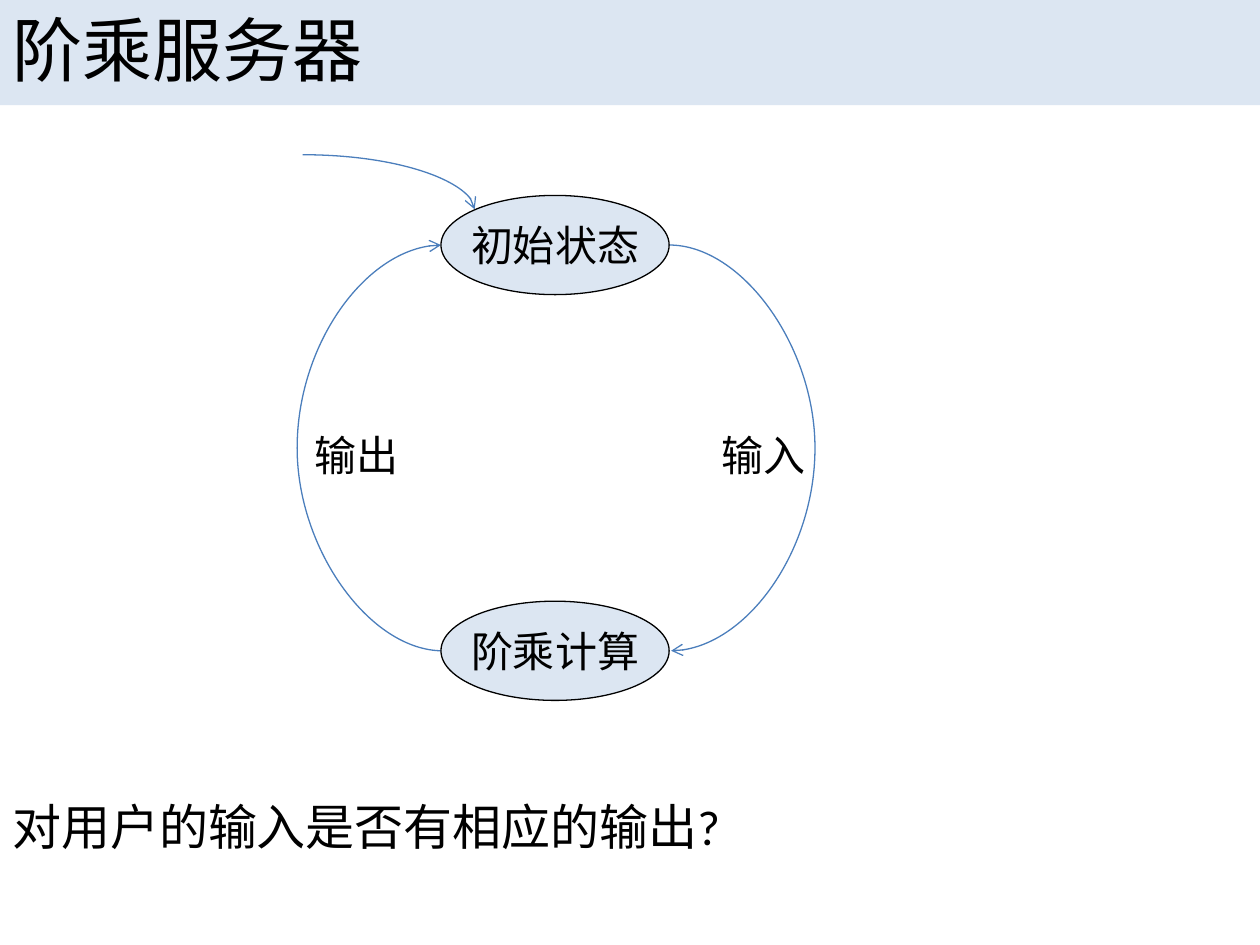
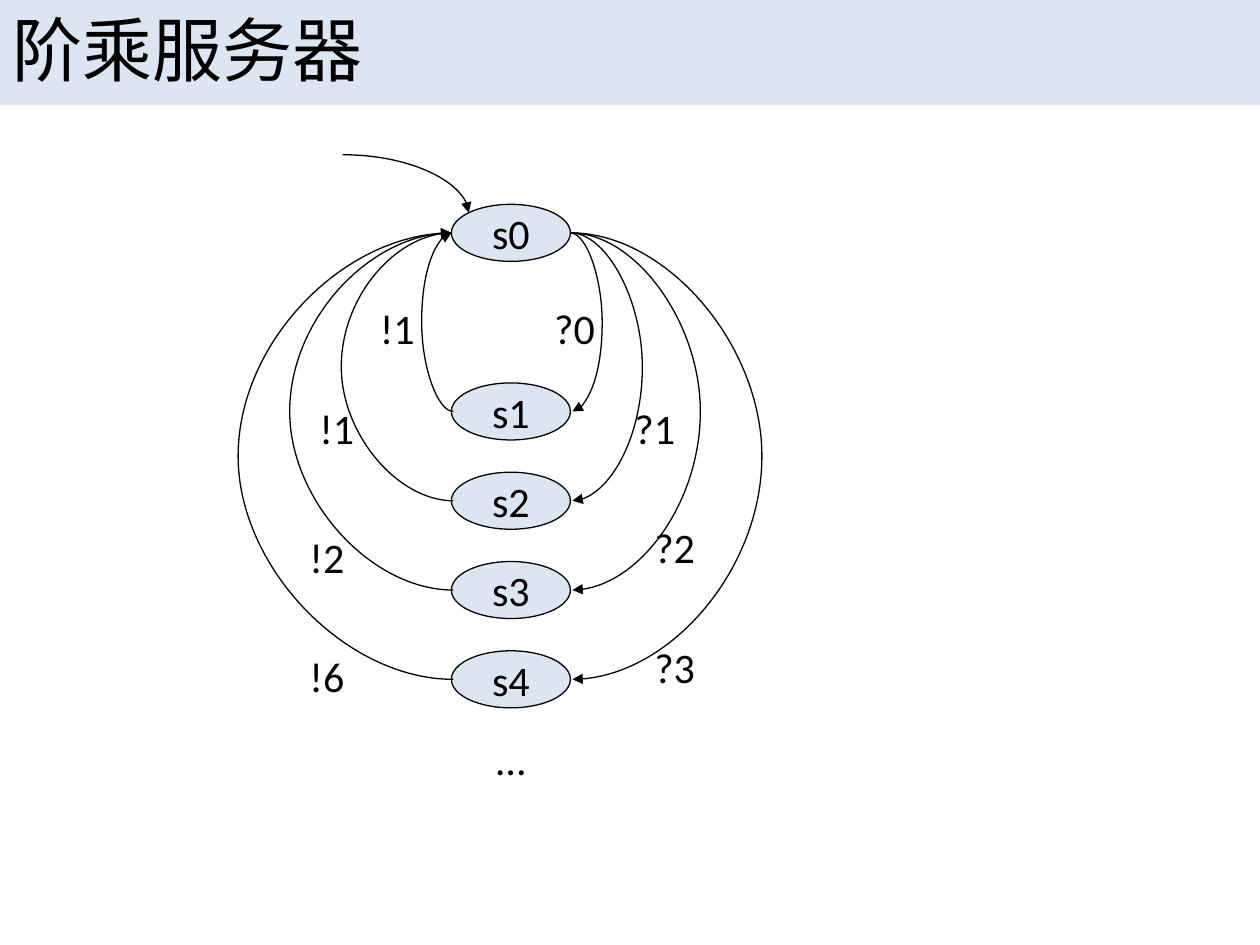
from dataclasses import dataclass

from lxml.etree import SubElement
from pptx import Presentation
from pptx.dml.color import RGBColor
from pptx.enum.shapes import MSO_CONNECTOR, MSO_SHAPE
from pptx.enum.text import MSO_ANCHOR, MSO_AUTO_SIZE, PP_ALIGN
from pptx.oxml.ns import qn
from pptx.util import Cm, Pt


@dataclass(frozen=True)
class Theme:
    font: str = "Calibri"
    ink: RGBColor = RGBColor(0, 0, 0)
    pale: RGBColor = RGBColor(0xDC, 0xE6, 0xF2)
    blue: RGBColor = RGBColor(0x4B, 0x7E, 0xBC)
    head: Pt = Pt(40)
    ask: Pt = Pt(28)
    text: Pt = Pt(24)
    line: Pt = Pt(0.75)


THEME = Theme()
TITLE = "阶乘服务器"
STEP = 0.04


def write(shape, text, size, align=PP_ALIGN.LEFT, anchor=MSO_ANCHOR.TOP, wrap=False):
    frame = shape.text_frame
    frame.text = text
    frame.word_wrap = wrap
    frame.vertical_anchor = anchor
    para = frame.paragraphs[0]
    para.alignment = align
    font = para.runs[0].font
    font.name, font.size = THEME.font, size
    font.color.rgb = THEME.ink


def add_page(deck):
    slide = deck.slides.add_slide(deck.slide_layouts[5])
    band = slide.shapes.title
    band.left, band.top = Cm(0), Cm(0)
    band.width, band.height = deck.slide_width, Cm(1.96)
    band.fill.solid()
    band.fill.fore_color.rgb = THEME.pale
    write(band, TITLE, THEME.head, wrap=True)
    band.text_frame.auto_size = MSO_AUTO_SIZE.SHAPE_TO_FIT_TEXT
    return slide


def add_state(slide, text, left, top, width, height):
    oval = slide.shapes.add_shape(
        MSO_SHAPE.OVAL, Cm(left), Cm(top), Cm(width), Cm(height))
    oval.shadow.inherit = False
    oval.fill.solid()
    oval.fill.fore_color.rgb = THEME.pale
    oval.line.color.rgb = THEME.ink
    oval.line.width = THEME.line
    write(oval, text, THEME.text, PP_ALIGN.CENTER, MSO_ANCHOR.MIDDLE)


def add_note(slide, text, left, top, width, height, size=THEME.text, wrap=False):
    box = slide.shapes.add_textbox(Cm(left), Cm(top), Cm(width), Cm(height))
    write(box, text, size, wrap=wrap)
    box.text_frame.auto_size = MSO_AUTO_SIZE.SHAPE_TO_FIT_TEXT


def add_label(slide, text, left, top, width=2.2, height=1):
    box = slide.shapes.add_textbox(Cm(left), Cm(top), Cm(width), Cm(height))
    write(box, text, THEME.text, PP_ALIGN.CENTER, MSO_ANCHOR.MIDDLE)


def add_curve(slide, start, end, color, head):
    curve = slide.shapes.add_connector(
        MSO_CONNECTOR.CURVE, *(Cm(n) for n in (*start, *end)))
    curve.line.color.rgb = color
    curve.line.width = THEME.line
    props = curve._element.spPr
    SubElement(props.find(qn("a:ln")), qn("a:tailEnd"), type=head)
    SubElement(props, qn("a:effectLst"))
    return props


def add_entry(slide, start, end, color, head):
    props = add_curve(slide, start, end, color, head)
    props.find(qn("a:prstGeom")).set("prst", "curvedConnector2")


def add_arc(slide, left, top, base, reach, color, head, back=False):
    props = add_curve(slide, (left, top), (left + STEP, base), color, head)
    guides = props.find(qn("a:prstGeom")).get_or_add_avLst()
    ratio = round(reach / STEP * 100000)
    SubElement(guides, qn("a:gd"), name="adj1", fmla=f"val {ratio}")
    if back:
        props.find(qn("a:xfrm")).set("rot", "10800000")


def draw_cycle(deck):
    slide = add_page(deck)
    left, width, height = 8.89, 4.6, 2
    tops = 3.94, 12.12
    ports = [top + height / 2 for top in tops]
    look = THEME.blue, "arrow"
    add_arc(slide, left, *ports, 2.94, *look, back=True)
    add_arc(slide, left + width, *ports, 2.94, *look)
    for text, top in zip(("初始状态", "阶乘计算"), tops):
        add_state(slide, text, left, top, width, height)
    add_entry(slide, (6.1, 3.12), (9.57, 4.22), *look)
    for text, side in (("输入", 14.3), ("输出", 6.1)):
        add_note(slide, text, side, 8.53, 2.24, 1.3)
    add_note(slide, "对用户的输入是否有相应的输出?", 0, 15.93, 20.7, 1.45,
             THEME.ask, True)


def draw_states(deck):
    slide = add_page(deck)
    left, first, width, height, pitch = 9.1, 4.12, 2.4, 1.15, 1.8
    look = THEME.ink, "triangle"
    port = first + height / 2
    add_state(slide, "s0", left, first, width, height)
    add_entry(slide, (6.91, 3.12), (9.45, 4.29), *look)
    arcs = (0.64, 0.64), (2.26, 1.45), (3.3, 2.62), (4.34, 3.86)
    for rank, (back, out) in enumerate(arcs, 1):
        drop = (rank + 1) * pitch
        add_state(slide, f"s{rank}", left, first + drop, width, height)
        add_arc(slide, left, port, port + drop, back, *look, back=True)
        add_arc(slide, left + width, port, port + drop, out, *look)
    labels = (
        ("?0", 10.48, 6.11), ("!1", 6.91, 6.11),
        ("?1", 12.1, 8.13), ("!1", 5.69, 8.13),
        ("?2", 12.5, 10.52), ("!2", 5.49, 10.72),
        ("?3", 12.5, 12.94), ("!6", 5.49, 13.13),
    )
    for label in labels:
        add_label(slide, *label)
    add_label(slide, "…", left, 14.73, width, height)


def main():
    deck = Presentation()
    deck.slide_width, deck.slide_height = Cm(25.4), Cm(19.05)
    draw_cycle(deck)
    draw_states(deck)
    deck.save("out.pptx")


if __name__ == "__main__":
    main()
